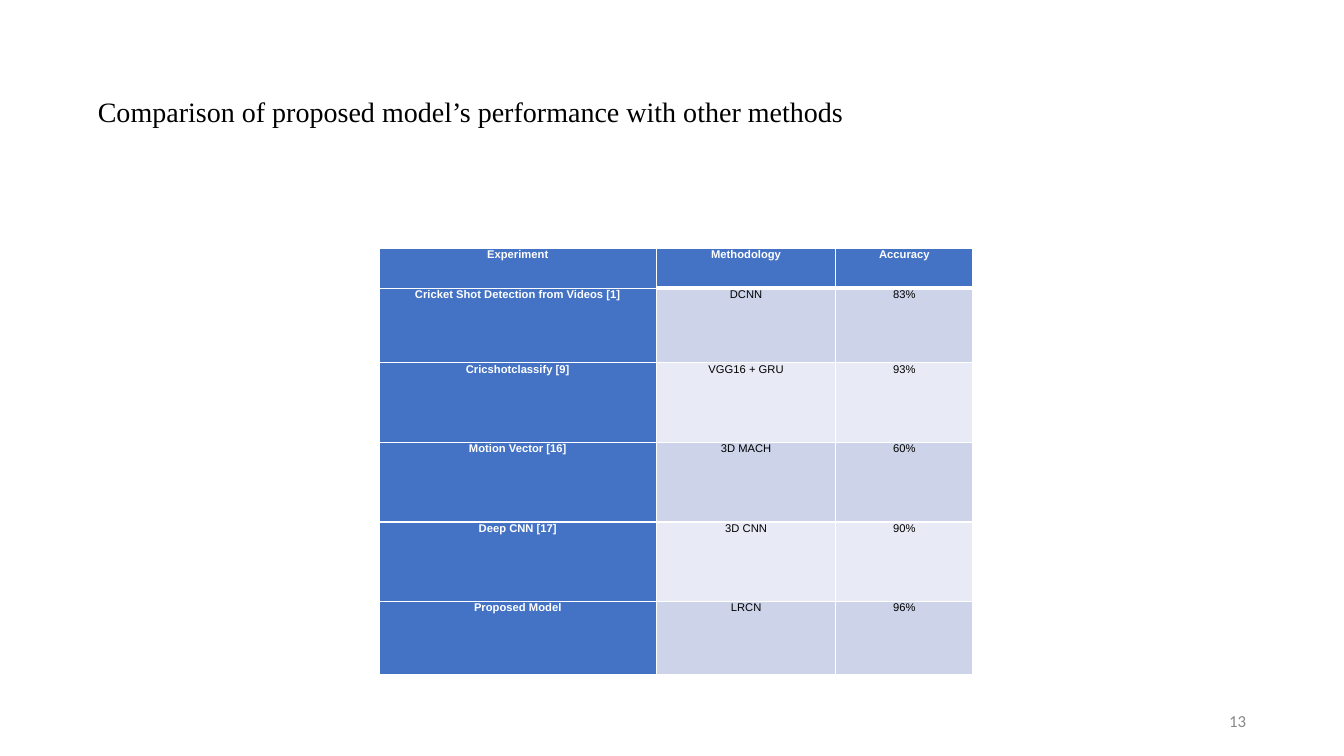
from dataclasses import dataclass

from lxml.etree import SubElement
from pptx import Presentation
from pptx.dml.color import RGBColor
from pptx.enum.text import MSO_ANCHOR as Anchor, PP_ALIGN as Align
from pptx.oxml.ns import qn
from pptx.util import Emu, Inches, Pt

SLIDE_WIDTH, SLIDE_HEIGHT = Inches(13.33), Inches(7.5)
BLUE, WHITE, BLACK, GRAY = "4472C4", "FFFFFF", "000000", "888888"
BANDS = ("CDD4EA", "E8EBF5")
COLUMN_WIDTHS = (2.75, 1.78, 1.36)
ROW_HEIGHTS = (0.4, 0.74, 0.79, 0.79, 0.79, 0.72)


@dataclass(frozen=True)
class Result:
    experiment: str
    methodology: str
    accuracy: str


@dataclass(frozen=True)
class Box:
    left: float
    top: float
    width: float
    height: float

    def lengths(self) -> tuple[Emu, Emu, Emu, Emu]:
        return (
            Emu(round(self.left * SLIDE_WIDTH)),
            Emu(round(self.top * SLIDE_HEIGHT)),
            Emu(round(self.width * SLIDE_WIDTH)),
            Emu(round(self.height * SLIDE_HEIGHT)),
        )


@dataclass(frozen=True)
class Style:
    font: str
    size: float
    color: str
    align: Align
    bold: bool = False


RESULTS = (
    Result("Experiment", "Methodology", "Accuracy"),
    Result("Cricket Shot Detection from Videos [1]", "DCNN", "83%"),
    Result("Cricshotclassify [9]", "VGG16 + GRU", "93%"),
    Result("Motion Vector [16]", "3D MACH", "60%"),
    Result("Deep CNN [17]", "3D CNN", "90%"),
    Result("Proposed Model", "LRCN", "96%"),
)
TITLE_BOX = Box(0.069, 0.0533, 0.8627, 0.1933)
TABLE_BOX = Box(0.2821, 0.328, 0.4419, 0.564)
NUMBER_BOX = Box(0.91, 0.936, 0.021, 0.036)
TITLE_STYLE = Style("Times New Roman", 20, BLACK, Align.LEFT)
HEADING_STYLE = Style("Arial", 8, WHITE, Align.CENTER, True)
VALUE_STYLE = Style("Arial", 8, BLACK, Align.CENTER)
NUMBER_STYLE = Style("Calibri", 12, GRAY, Align.RIGHT)


def rgb(value: str) -> RGBColor:
    return RGBColor.from_string(value)


def write(frame, text: str, style: Style) -> None:
    frame.text = text
    paragraph = frame.paragraphs[0]
    paragraph.alignment = style.align
    font = paragraph.runs[0].font
    font.name, font.size, font.bold = style.font, Pt(style.size), style.bold
    font.color.rgb = rgb(style.color)


def set_insets(frame, inset: float) -> None:
    frame.margin_left = frame.margin_right = Inches(inset)
    frame.margin_top = frame.margin_bottom = Inches(inset)


def add_border(cell, side: str, points: float) -> None:
    line = SubElement(cell._tc.get_or_add_tcPr(), qn(f"a:ln{side}"), w=str(Pt(points)))
    fill = SubElement(line, qn("a:solidFill"))
    SubElement(fill, qn("a:srgbClr"), val=WHITE)


def draw_cell(cell, text: str, row: int, column: int) -> None:
    heading = row == 0 or column == 0
    write(cell.text_frame, text, HEADING_STYLE if heading else VALUE_STYLE)
    set_insets(cell, 0)
    cell.vertical_anchor = Anchor.TOP
    add_border(cell, "L", 1)
    add_border(cell, "R", 1)
    add_border(cell, "T", 3 if row == 1 and column else 1)
    add_border(cell, "B", 3 if row == 0 and column else 1)
    cell.fill.solid()
    cell.fill.fore_color.rgb = rgb(BLUE if heading else BANDS[(row - 1) % 2])


def draw_results(slide) -> None:
    table = slide.shapes.add_table(
        len(RESULTS), len(COLUMN_WIDTHS), *TABLE_BOX.lengths()
    ).table
    for column, width in zip(table.columns, COLUMN_WIDTHS):
        column.width = Inches(width)
    for row, height in zip(table.rows, ROW_HEIGHTS):
        row.height = Inches(height)
    for row, result in enumerate(RESULTS):
        values = (result.experiment, result.methodology, result.accuracy)
        for column, text in enumerate(values):
            draw_cell(table.cell(row, column), text, row, column)


def draw_title(slide) -> None:
    title = slide.shapes.title
    title.left, title.top, title.width, title.height = TITLE_BOX.lengths()
    frame = title.text_frame
    write(frame, "Comparison of proposed model’s performance with other methods", TITLE_STYLE)
    frame.paragraphs[0].line_spacing = 0.9
    frame.vertical_anchor = Anchor.MIDDLE
    frame.word_wrap = True
    set_insets(frame, 0.05)


def draw_number(slide) -> None:
    frame = slide.shapes.add_textbox(*NUMBER_BOX.lengths()).text_frame
    write(frame, "13", NUMBER_STYLE)
    frame.vertical_anchor = Anchor.MIDDLE
    frame.word_wrap = False
    set_insets(frame, 0.05)


def main() -> None:
    deck = Presentation()
    deck.slide_width, deck.slide_height = SLIDE_WIDTH, SLIDE_HEIGHT
    slide = deck.slides.add_slide(deck.slide_layouts.get_by_name("Title Only"))
    draw_title(slide)
    draw_results(slide)
    draw_number(slide)
    deck.save("out.pptx")


if __name__ == "__main__":
    main()
